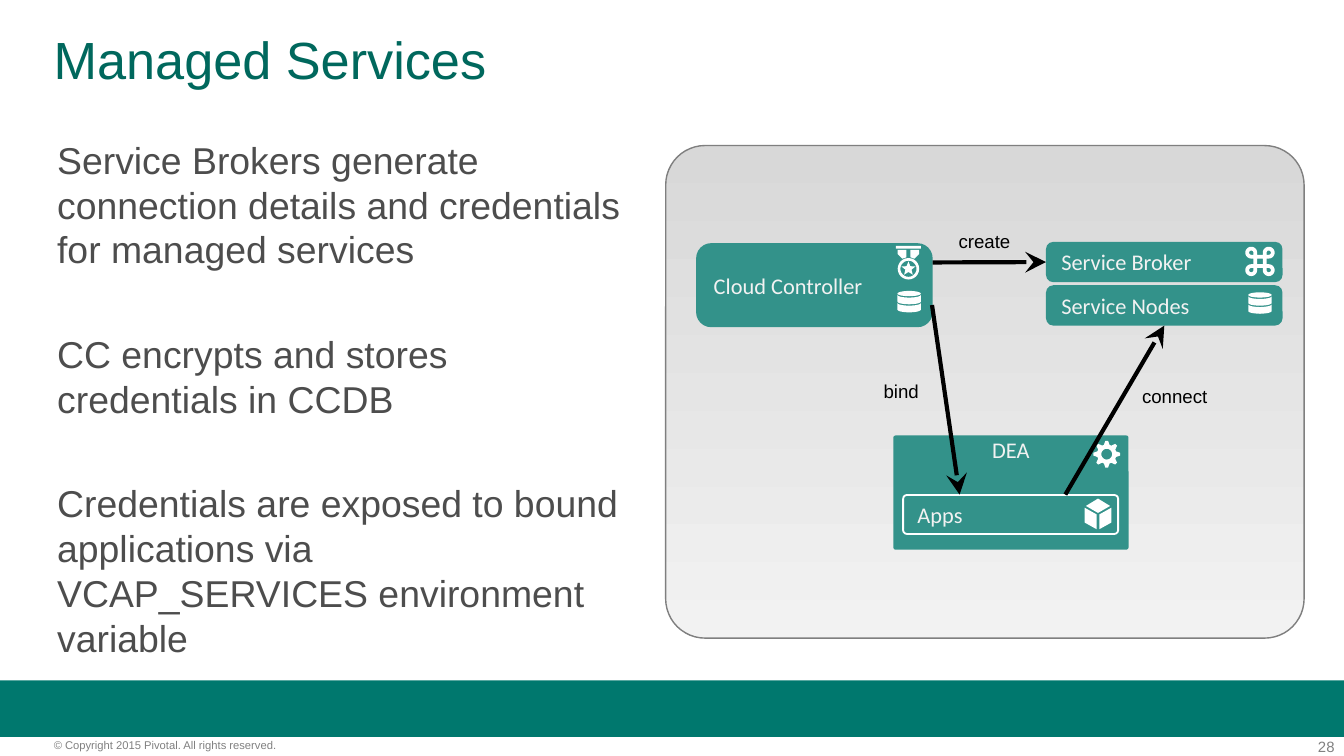
from math import cos, sin, radians
from pptx import Presentation
from pptx.dml.color import RGBColor
from pptx.enum.shapes import MSO_CONNECTOR as Link, MSO_SHAPE as Form
from pptx.enum.text import MSO_ANCHOR as Anchor, PP_ALIGN as Align
from pptx.oxml.ns import qn
from pptx.util import Inches, Pt
from lxml.etree import SubElement

WIDE = Inches(10)
HIGH = WIDE * 9 // 16
TEAL, PALE, WHITE, GREY = "33928A", "F2F2F2", "FFFFFF", "808080"


def cell(n):
    return round(n * WIDE / 100)


def hue(code):
    return RGBColor.from_string(code)


def paint(part, code):
    part.fill.solid()
    part.fill.fore_color.rgb = hue(code)


def style(par, size, font, code, align=Align.LEFT):
    par.alignment = align
    par.font.size = Pt(size)
    par.font.name = font
    par.font.color.rgb = hue(code)


def inset(frame, side, top):
    frame.margin_left = frame.margin_right = cell(side)
    frame.margin_top = frame.margin_bottom = cell(top)


def note(slide, at, lines, size, code, align=Align.LEFT, pad=(0, 0), wrap=True):
    frame = slide.shapes.add_textbox(*map(cell, at)).text_frame
    frame.word_wrap = wrap
    inset(frame, *pad)
    frame.text = "\n".join(lines)
    for par in frame.paragraphs:
        style(par, size, "Arial", code, align)
    return frame.paragraphs


def block(slide, at, fill=None, line=None, width=1, round_by=None):
    form = Form.RECTANGLE if round_by is None else Form.ROUNDED_RECTANGLE
    box = slide.shapes.add_shape(form, *map(cell, at))
    box.shadow.inherit = False
    if round_by is not None:
        box.adjustments[0] = round_by
    if fill:
        paint(box, fill)
    else:
        box.fill.background()
    if line:
        box.line.color.rgb = hue(line)
        box.line.width = Pt(width)
    else:
        box.line.fill.background()
    return box


def node(slide, at, text, round_by, fill=TEAL, line=None, align=Align.LEFT, anchor=Anchor.MIDDLE):
    box = block(slide, at, fill, line, 1, round_by)
    frame = box.text_frame
    frame.word_wrap = True
    frame.vertical_anchor = anchor
    inset(frame, 1, 0)
    frame.text = text
    style(frame.paragraphs[0], 12, "Calibri", PALE, align)
    return box


def arrow(slide, start, end, box=None, side=0):
    line = slide.shapes.add_connector(Link.STRAIGHT, *map(cell, start + end))
    if box:
        line.end_connect(box, side)
    line.line.color.rgb = hue("000000")
    line.line.width = Pt(2.25)
    SubElement(line.line._get_or_add_ln(), qn("a:tailEnd"), type="stealth", w="lg", len="lg")
    SubElement(line._element.spPr, qn("a:effectLst"))


def panel(slide, at):
    box = block(slide, at, WHITE, "7F7F7F", 0.75, 0.08)
    box.fill.gradient()
    box.fill.gradient_angle = 270
    for stop, code, spot in zip(box.fill.gradient_stops, ("D8D8D8", PALE), (0, 1)):
        stop.color.rgb = hue(code)
        stop.position = spot


def icon(slide, mid, loops, pen=None):
    dots = [[((mid[0] + x) * 100, (mid[1] + y) * 100) for x, y in loop] for loop in loops]
    path = slide.shapes.build_freeform(*dots[0][0], scale=WIDE / 10000)
    for i, loop in enumerate(dots):
        if i:
            path.move_to(*loop[0])
        path.add_line_segments(loop[1:], close=True)
    shape = path.convert_to_shape()
    shape.shadow.inherit = False
    if pen:
        shape.fill.background()
        shape.line.color.rgb = hue(WHITE)
        shape.line.width = Pt(pen)
    else:
        paint(shape, WHITE)
        shape.line.fill.background()


def arc(x, y, wide, high, start, end, step=15):
    turns = range(start, end + step, step)
    return [(x + wide * cos(radians(a)), y + high * sin(radians(a))) for a in turns]


def ring(size):
    return arc(0, 0, size, size, 0, 345)


def spokes(radii, step, start=0):
    turns = [radians(start + i * step) for i in range(len(radii))]
    return [(r * cos(a), r * sin(a)) for r, a in zip(radii, turns)]


def disks(slide, mid):
    bands = [arc(0, y, 0.87, 0.2, 180, 0, -15) + arc(0, y + 0.5, 0.87, 0.2, 0, 180)
             for y in (-0.55, 0.05)]
    icon(slide, mid, [arc(0, -0.65, 0.87, 0.2, 0, 345)] + bands)


def knot(slide, mid):
    loop = []
    for k in range(4):
        turn = radians(-45 - 90 * k)
        far = 0.65 * 2 ** 0.5
        loop += arc(far * cos(turn), far * sin(turn), 0.3, 0.3, 180 - 90 * k, 450 - 90 * k)
    icon(slide, mid, [loop], 2)


def gear(slide, mid):
    icon(slide, mid, [spokes([1, 1, 0.72, 0.72] * 8, 11.25, -5.6), ring(0.4)])


def cube(slide, mid):
    left = [(-1, -0.47), (-0.1, 0.03), (-0.1, 1.13), (-1, 0.63)]
    right = [(-x, y) for x, y in left]
    icon(slide, mid, [left, right, [(0, -1.15), (0.9, -0.6), (0, -0.08), (-0.9, -0.6)]])


def medal(slide, mid):
    left = [(-0.8, -1.4), (-0.15, -1.4), (-0.15, -0.85), (-0.45, -0.75), (-0.8, -1.1)]
    right = [(-x, y) for x, y in left]
    bar = [(-0.93, -1.7), (0.93, -1.7), (0.93, -1.5), (-0.93, -1.5)]
    star = spokes([0.55, 0.24] * 5, 36, -90)
    icon(slide, mid, [ring(0.8), ring(0.6), star, left, right, bar])


def frame(slide):
    block(slide, (0, 50.63, 100, 4.2), "00786E")
    note(slide, (93.5, 54.9, 5.8, 1.3), ["28"], 8, GREY, Align.RIGHT)
    note(slide, (4, 54.95, 24.9, 1), ["© Copyright 2015 Pivotal. All rights reserved."], 6, GREY)
    title = note(slide, (4, 2.55, 92, 5), ["Managed Services"], 28, "00685D")
    title[0].line_spacing = 0.9


def points(slide):
    lines = ["Service Brokers generate connection details and credentials for managed services",
             "CC encrypts and stores credentials in CCDB",
             "Credentials are exposed to bound applications via VCAP_SERVICES environment variable"]
    pars = note(slide, (3.27, 9.7, 44.4, 40.2), lines, 20, "4D4D4D", pad=(1, 0.5))
    for i, par in enumerate(pars):
        par.line_spacing = Pt(24)
        if i:
            par.space_before = Pt(32)


def chart(slide):
    panel(slide, (49.53, 10.83, 47.5, 36.65))
    node(slide, (66.47, 32.4, 17.5, 8.5), "DEA", 0.02, align=Align.CENTER, anchor=Anchor.TOP)
    node(slide, (67.2, 36.83, 16, 2.9), "Apps", 0.1, None, WHITE)
    cube(slide, (81.7, 38.25))
    gear(slide, (82.35, 33.8))
    broker, store = [node(slide, (77.83, y, 17.6, 3), text, 0.18)
                     for y, text in ((18, "Service Broker"), (21.23, "Service Nodes"))]
    knot(slide, (93.75, 19.45))
    disks(slide, (93.75, 22.6))
    node(slide, (51.8, 18.1, 17.6, 6.25), "Cloud Controller", 0.18)
    medal(slide, (67.6, 20))
    disks(slide, (67.65, 22.5))
    arrow(slide, (69.4, 19.53), (77.83, 19.5), broker, 1)
    arrow(slide, (69.35, 22.7), (71.4, 36.8))
    arrow(slide, (79.27, 36.8), (86.63, 24.23), store, 2)
    for x, y, wide, text in ((70.3, 16.6, 5.9, "create"), (64.7, 27.8, 4.7, "bind"),
                             (83.95, 28.15, 6.9, "connect")):
        note(slide, (x, y, wide, 2.7), [text], 10, "000000", Align.CENTER, (1, 0.5), False)


def main():
    deck = Presentation()
    deck.slide_width, deck.slide_height = WIDE, HIGH
    slide = deck.slides.add_slide(deck.slide_layouts[6])
    frame(slide)
    points(slide)
    chart(slide)
    deck.save("out.pptx")


if __name__ == "__main__":
    main()
